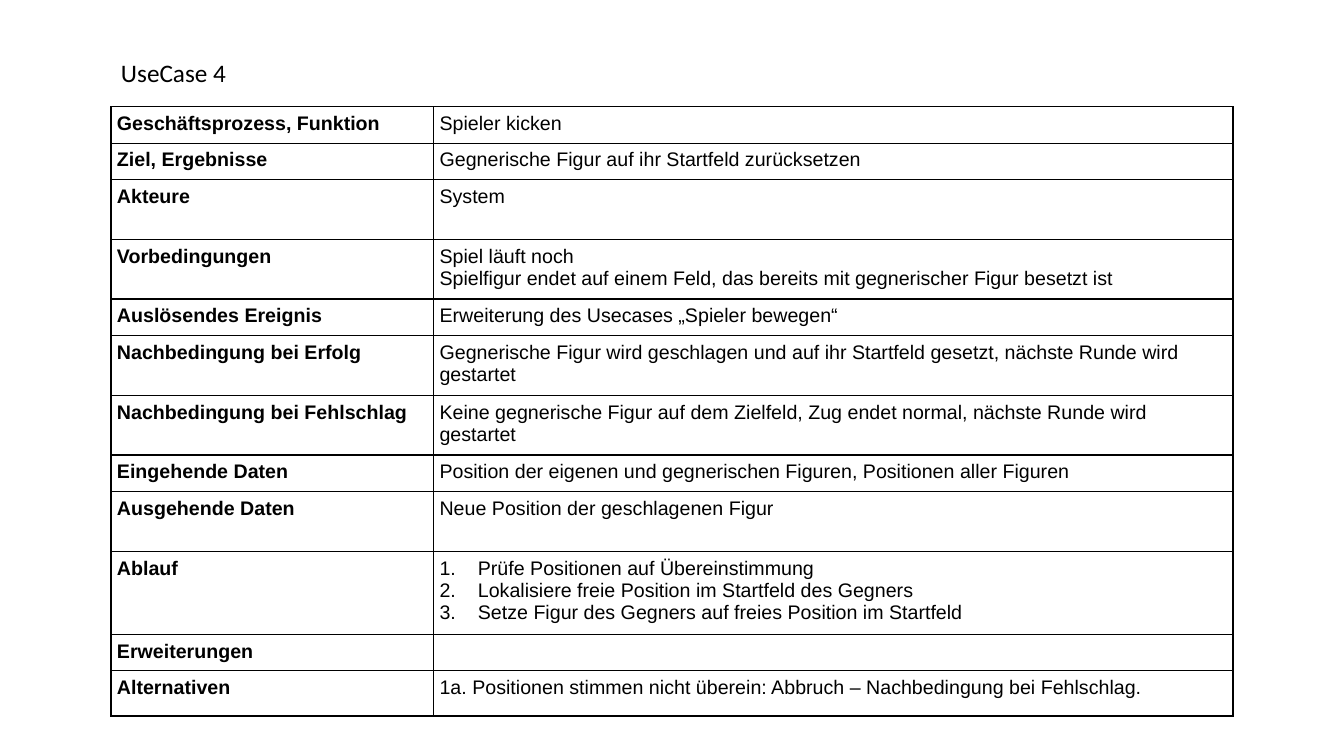
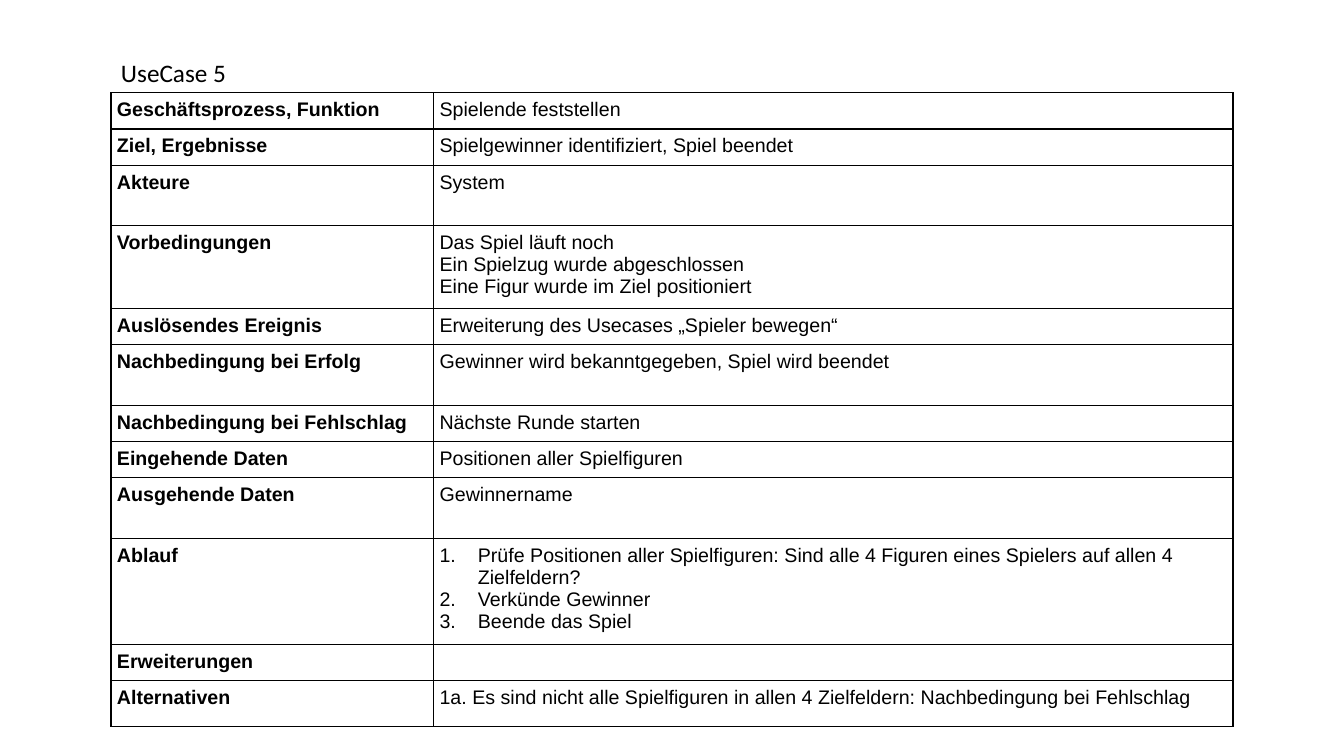
from lxml import etree
from pptx import Presentation
from pptx.dml.color import RGBColor
from pptx.enum import text
from pptx.oxml import ns
from pptx.util import Inches, Pt

# Shared look
COLORS = {"ink": "000000", "paper": "FFFFFF"}
TITLE_FONT = {"name": "Calibri", "size": Pt(18), "bold": False}
CELL_FONT = {"name": "Arial", "size": Pt(14)}
TITLE_BOX = {"left": Inches(1.1), "top": Inches(0.52),
             "width": Inches(1.25), "height": Inches(0.4)}
TITLE_FRAME = {"word_wrap": False, "auto_size": text.MSO_AUTO_SIZE.SHAPE_TO_FIT_TEXT,
               "vertical_anchor": text.MSO_ANCHOR.TOP}
CELL_MARGINS = dict.fromkeys(
    ("margin_left", "margin_right", "margin_top", "margin_bottom"), Inches(0.06))
TABLE_FLAGS = {"first_row": False, "horz_banding": False}
COLUMN_WIDTHS = (3.2, 7.93)
BORDER_WIDTH = Pt(0.96)
LIST_INDENT = Inches(0.38)

# Row labels with their minimum heights
ROWS = (
    ("Geschäftsprozess, Funktion", 0.36),
    ("Ziel, Ergebnisse", 0.36),
    ("Akteure", 0.6),
    ("Vorbedingungen", 0.36),
    ("Auslösendes Ereignis", 0.36),
    ("Nachbedingung bei Erfolg", 0.6),
    ("Nachbedingung bei Fehlschlag", 0.36),
    ("Eingehende Daten", 0.36),
    ("Ausgehende Daten", 0.6),
    ("Ablauf", 0.6),
    ("Erweiterungen", 0.36),
    ("Alternativen", 0.45),
)

# Title, table top and one list of paragraphs for each row
USE_CASES = (
    ("UseCase 4", 1.06, (
        ["Spieler kicken"],
        ["Gegnerische Figur auf ihr Startfeld zurücksetzen"],
        ["System"],
        ["Spiel läuft noch",
         "Spielfigur endet auf einem Feld, das bereits mit gegnerischer Figur besetzt ist"],
        ["Erweiterung des Usecases „Spieler bewegen“"],
        ["Gegnerische Figur wird geschlagen und auf ihr Startfeld gesetzt, "
         "nächste Runde wird gestartet"],
        ["Keine gegnerische Figur auf dem Zielfeld, Zug endet normal, "
         "nächste Runde wird gestartet"],
        ["Position der eigenen und gegnerischen Figuren, Positionen aller Figuren"],
        ["Neue Position der geschlagenen Figur"],
        ["Prüfe Positionen auf Übereinstimmung",
         "Lokalisiere freie Position im Startfeld des Gegners",
         "Setze Figur des Gegners auf freies Position im Startfeld"],
        [],
        ["1a. Positionen stimmen nicht überein: Abbruch – Nachbedingung bei Fehlschlag."],
    )),
    ("UseCase 5", 0.92, (
        ["Spielende feststellen"],
        ["Spielgewinner identifiziert, Spiel beendet"],
        ["System"],
        ["Das Spiel läuft noch",
         "Ein Spielzug wurde abgeschlossen",
         "Eine Figur wurde im Ziel positioniert"],
        ["Erweiterung des Usecases „Spieler bewegen“"],
        ["Gewinner wird bekanntgegeben, Spiel wird beendet"],
        ["Nächste Runde starten"],
        ["Positionen aller Spielfiguren"],
        ["Gewinnername"],
        ["Prüfe Positionen aller Spielfiguren: Sind alle 4 Figuren eines Spielers "
         "auf allen 4 Zielfeldern?",
         "Verkünde Gewinner",
         "Beende das Spiel"],
        [],
        ["1a. Es sind nicht alle Spielfiguren in allen 4 Zielfeldern: "
         "Nachbedingung bei Fehlschlag"],
    )),
)


def write(para, words, font):
    span = para.add_run()
    span.text = words
    for name, value in font.items():
        setattr(span.font, name, value)
    span.font.color.rgb = RGBColor.from_string(COLORS["ink"])


def format_cell(cell):
    for name, value in CELL_MARGINS.items():
        setattr(cell, name, value)
    cell.fill.solid()
    cell.fill.fore_color.rgb = RGBColor.from_string(COLORS["paper"])
    # Borders stand before the fill in the cell properties
    properties = cell._tc.get_or_add_tcPr()
    for position, side in enumerate(("lnL", "lnR", "lnT", "lnB")):
        line = etree.Element(ns.qn(f"a:{side}"), w=str(BORDER_WIDTH))
        fill = etree.SubElement(line, ns.qn("a:solidFill"))
        etree.SubElement(fill, ns.qn("a:srgbClr"), val=COLORS["ink"])
        properties.insert(position, line)


deck = Presentation()
deck.slide_width, deck.slide_height = Inches(13.33), Inches(7.5)

for title, table_top, contents in USE_CASES:
    page = deck.slides.add_slide(deck.slide_layouts[5])

    # Title
    box = page.shapes.title
    for name, value in TITLE_BOX.items():
        setattr(box, name, value)
    for name, value in TITLE_FRAME.items():
        setattr(box.text_frame, name, value)
    para = box.text_frame.paragraphs[0]
    para.alignment = text.PP_ALIGN.LEFT
    write(para, title, TITLE_FONT)

    # Table
    table = page.shapes.add_table(
        len(ROWS), len(COLUMN_WIDTHS), Inches(1.1), Inches(table_top),
        Inches(sum(COLUMN_WIDTHS)), Inches(sum(height for _, height in ROWS))).table
    for name, value in TABLE_FLAGS.items():
        setattr(table, name, value)
    for column, width in zip(table.columns, COLUMN_WIDTHS):
        column.width = Inches(width)

    for row, (label, height), lines in zip(table.rows, ROWS, contents):
        row.height = Inches(height)
        for cell, words, bold in zip(row.cells, ([label], lines), (True, False)):
            format_cell(cell)
            frame = cell.text_frame
            for number, line in enumerate(words):
                para = frame.add_paragraph() if number else frame.paragraphs[0]
                write(para, line, {**CELL_FONT, "bold": bold})
                # Numbered steps
                if label == "Ablauf" and not bold:
                    layout = para._p.get_or_add_pPr()
                    layout.set("marL", str(LIST_INDENT))
                    layout.set("indent", str(-LIST_INDENT))
                    etree.SubElement(layout, ns.qn("a:buFont"), typeface=CELL_FONT["name"])
                    etree.SubElement(layout, ns.qn("a:buAutoNum"), type="arabicPeriod")
            # An empty cell keeps the text size of the others
            if not words:
                etree.SubElement(frame.paragraphs[0]._p, ns.qn("a:endParaRPr"),
                                 sz=str(int(CELL_FONT["size"].pt * 100)))

deck.save("out.pptx")
